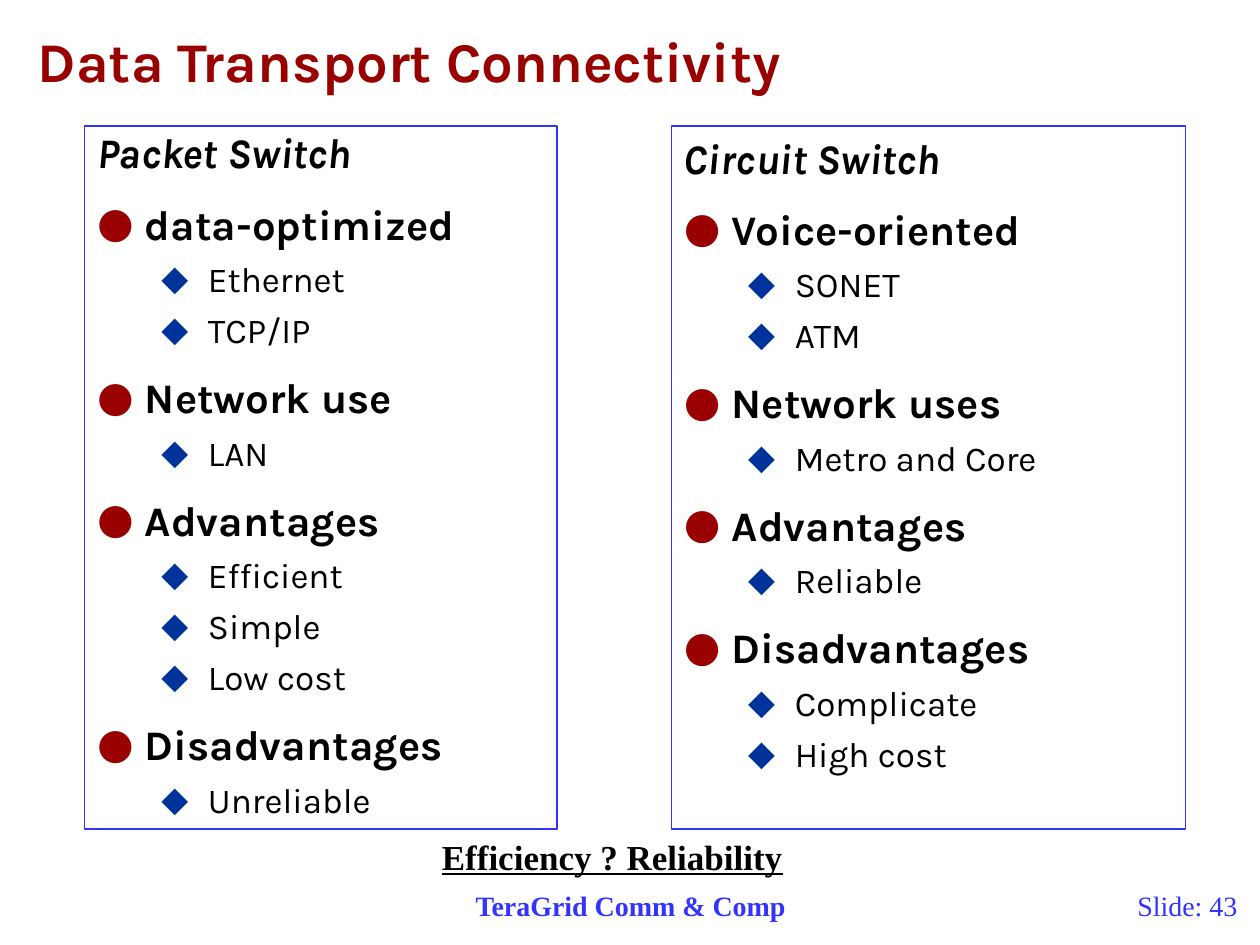
from lxml import etree
from pptx import Presentation
from pptx import util as u
from pptx.dml.color import RGBColor
from pptx.enum import shapes, text
from pptx.oxml.ns import qn

BLUE, RED, NAVY, BLACK = "3333FF", "990000", "003399", "000000"
SANS, SERIF = "Karla", "Times New Roman"
LEFT, CENTER, RIGHT = text.PP_ALIGN.LEFT, text.PP_ALIGN.CENTER, text.PP_ALIGN.RIGHT

PACKET = [
    ("data-optimized", ["Ethernet", "TCP/IP"]),
    ("Network use", ["LAN"]),
    ("Advantages", ["Efficient", "Simple", "Low cost"]),
    ("Disadvantages", ["Unreliable"]),
]
CIRCUIT = [
    ("Voice-oriented", ["SONET", "ATM"]),
    ("Network uses", ["Metro and Core"]),
    ("Advantages", ["Reliable"]),
    ("Disadvantages", ["Complicate", "High cost"]),
]


def color(value):
    """Turn a hex string into a colour."""
    return RGBColor.from_string(value)


def place(shape, box):
    """Move a shape to a box of left, top, width and height in inches."""
    shape.left, shape.top, shape.width, shape.height = map(u.Inches, box)


def set_frame(frame, side=0.1, edge=0.05, wrap=True):
    """Set margins, top anchor and wrapping of a text frame."""
    frame.margin_left = frame.margin_right = u.Inches(side)
    frame.margin_top = frame.margin_bottom = u.Inches(edge)
    frame.vertical_anchor = text.MSO_ANCHOR.TOP
    frame.auto_size = text.MSO_AUTO_SIZE.NONE
    frame.word_wrap = wrap


def set_bullet(para, char, tint, margin, indent):
    """Give a paragraph its indents and its bullet, or none when char is empty."""
    props = para._p.get_or_add_pPr()
    props.set("marL", str(u.Inches(margin)))
    props.set("indent", str(u.Inches(indent)))
    if not char:
        etree.SubElement(props, qn("a:buNone"))
        return
    paint = etree.SubElement(props, qn("a:buClr"))
    etree.SubElement(paint, qn("a:srgbClr"), val=tint)
    etree.SubElement(props, qn("a:buFont"), typeface=SANS)
    etree.SubElement(props, qn("a:buChar"), char=char)


def write(para, words, size=24, font=SANS, tint=BLACK, bold=False, italic=False,
          underline=False, align=LEFT, spacing=1.0, before=0):
    """Write one formatted run into a paragraph."""
    para.alignment, para.line_spacing = align, spacing
    para.space_before = u.Pt(before)
    span = para.add_run()
    span.text = words
    span.font.size, span.font.name = u.Pt(size), font
    span.font.bold, span.font.italic, span.font.underline = bold, italic, underline
    span.font.color.rgb = color(tint)


def add_title(page, box, words):
    """Place the slide title in its placeholder."""
    title = page.shapes.title
    place(title, box)
    set_frame(title.text_frame, side=0.05, edge=0)
    write(title.text_frame.paragraphs[0], words, size=32, tint=RED, bold=True, spacing=0.9)


def fill_panel(panel, box, heading, groups, heading_spacing):
    """Frame a panel and fill it with a heading and a two-level list."""
    place(panel, box)
    panel.fill.background()
    panel.line.color.rgb = color(BLUE)
    panel.line.width = u.Pt(0.75)
    frame = panel.text_frame
    set_frame(frame)
    first = frame.paragraphs[0]
    set_bullet(first, "", None, 0.38, -0.38)
    write(first, heading, bold=True, italic=True, spacing=heading_spacing)
    for topic, details in groups:
        para = frame.add_paragraph()
        set_bullet(para, "●", RED, 0.38, -0.38)
        write(para, topic, bold=True, spacing=0.9, before=15)
        for detail in details:
            para = frame.add_paragraph()
            para.level = 1
            set_bullet(para, "◆", NAVY, 0.88, -0.37)
            write(para, detail, size=20, spacing=0.9, before=7.5)


def add_label(page, box, words, wrap=True, **style):
    """Place a single line of serif text."""
    label = page.shapes.add_textbox(*map(u.Inches, box))
    set_frame(label.text_frame, wrap=wrap)
    write(label.text_frame.paragraphs[0], words, font=SERIF, **style)


def main():
    """Build the slide and save it."""
    deck = Presentation()
    deck.slide_width, deck.slide_height = u.Inches(10), u.Inches(7.5)
    page = deck.slides.add_slide(deck.slide_layouts[1])
    add_title(page, (0.25, 0.27, 9.33, 0.48), "Data Transport Connectivity")
    fill_panel(page.placeholders[1], (0.67, 1, 3.75, 5.58), "Packet Switch", PACKET, 0.9)
    circuit = page.shapes.add_shape(shapes.MSO_SHAPE.RECTANGLE, 0, 0, 0, 0)
    circuit.shadow.inherit = False
    fill_panel(circuit, (5.33, 1, 4.08, 5.58), "Circuit Switch", CIRCUIT, 1.0)
    add_label(page, (3.41, 6.58, 2.9, 0.44), "Efficiency ? Reliability", wrap=False,
              size=20, bold=True, underline=True, align=CENTER)
    add_label(page, (3.42, 7, 3.17, 0.33), "TeraGrid Comm & Comp",
              size=16, tint=BLUE, bold=True, align=CENTER)
    add_label(page, (8.25, 7, 1.67, 0.33), "Slide: 43", size=16, tint=BLUE, align=RIGHT)
    deck.save("out.pptx")


if __name__ == "__main__":
    main()
